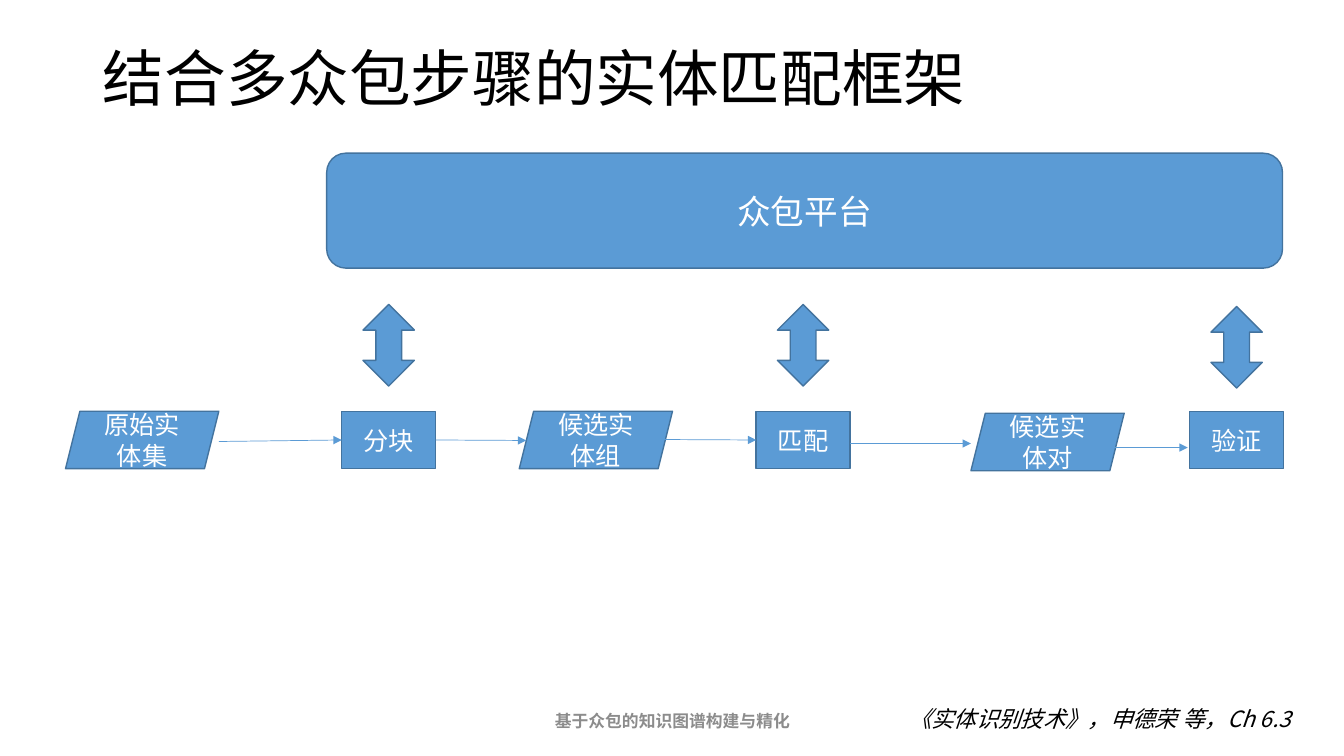
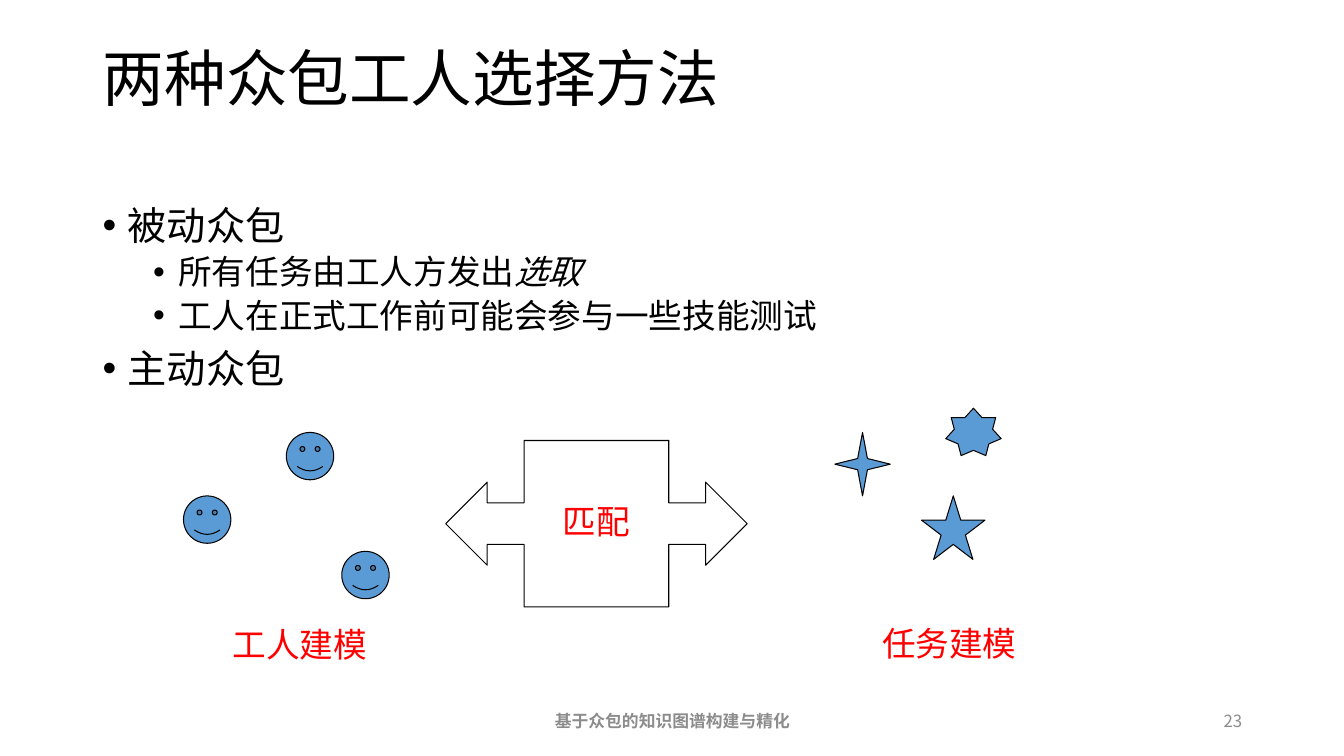
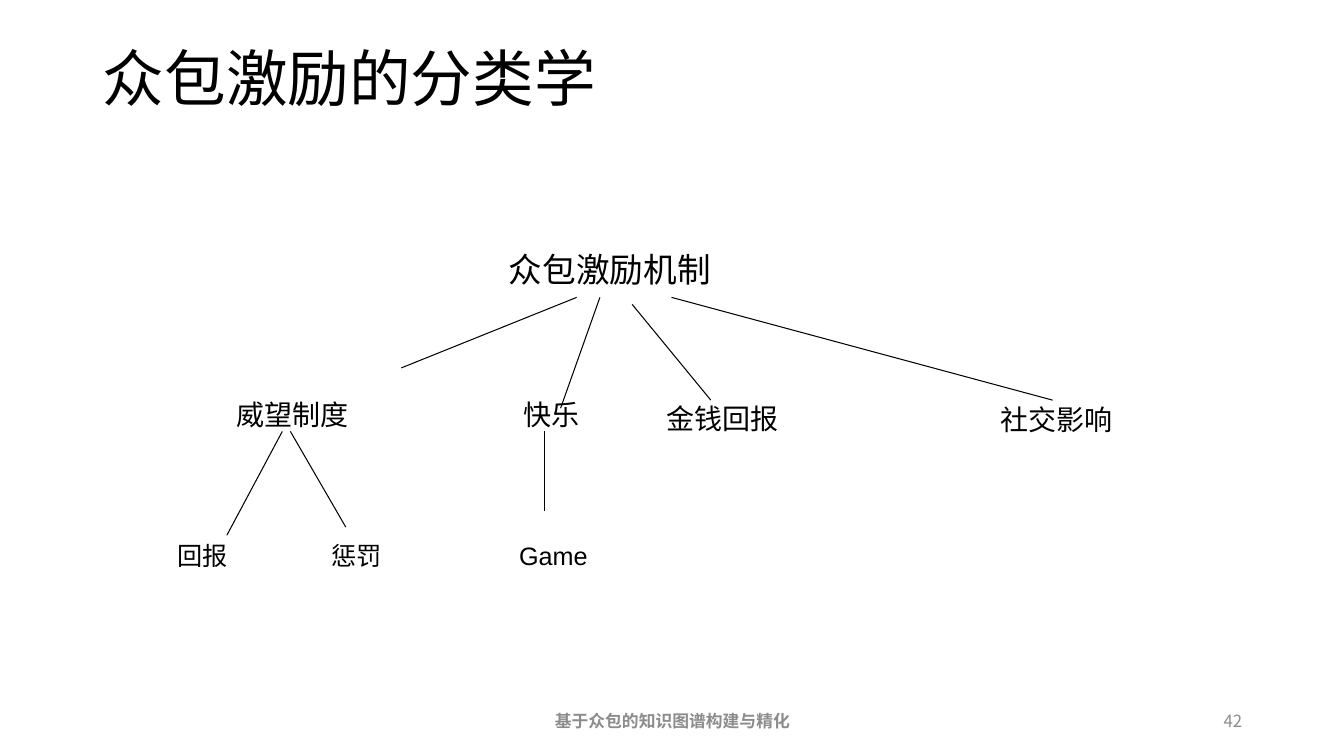
"""Build three slides on crowdsourced entity matching, worker selection and incentives."""
from dataclasses import dataclass
from typing import Any, Optional, Union

import lxml.etree
import pptx
import pptx.dml.color
import pptx.enum.shapes
import pptx.enum.text
import pptx.oxml.ns
import pptx.shapes.autoshape
import pptx.shapes.connector
import pptx.shapes.shapetree
import pptx.slide
import pptx.util

Inches = pptx.util.Inches
Pt = pptx.util.Pt
SHAPE = pptx.enum.shapes.MSO_SHAPE
ALIGN = pptx.enum.text.PP_ALIGN
ANCHOR = pptx.enum.text.MSO_ANCHOR
Shapes = Union[pptx.shapes.shapetree.SlideShapes, pptx.shapes.shapetree.GroupShapes]

COLORS = {
    "text": "000000",
    "muted": "8C8C8C",
    "accent": "5B9BD5",
    "outline": "43739E",
    "inverse": "FFFFFF",
    "key": "FF0000",
}
CJK_FONT = "Noto Sans CJK SC"
LABEL_FONT = "Arial"
FOOTER = "基于众包的知识图谱构建与精化"
TITLE_BOX = {"left": Inches(0.92), "top": Inches(0.42), "width": Inches(11.5), "height": Inches(0.78)}
TITLE_FRAME = {
    "vertical_anchor": ANCHOR.MIDDLE,
    "word_wrap": True,
    "auto_size": pptx.enum.text.MSO_AUTO_SIZE.NONE,
}
TITLE_PARAGRAPH = {"alignment": ALIGN.LEFT, "line_spacing": 0.9}


@dataclass(frozen=True)
class TextStyle:
    size: float
    color: str = "text"
    font: str = CJK_FONT
    bold: bool = False
    italic: bool = False


@dataclass(frozen=True)
class Box:
    left: float
    top: float
    width: float
    height: float


@dataclass(frozen=True)
class Label:
    text: str
    box: Box
    style: TextStyle
    align: Any = ALIGN.LEFT
    anchor: Any = ANCHOR.TOP
    wrap: bool = True


@dataclass(frozen=True)
class Figure:
    kind: Any
    box: Box
    fill: Optional[str] = "accent"
    line: str = "outline"
    weight: float = 1
    text: str = ""
    size: float = 18
    rotation: float = 0


@dataclass(frozen=True)
class Edge:
    x1: float
    y1: float
    x2: float
    y2: float
    source: Optional[str] = None
    target: Optional[str] = None


@dataclass(frozen=True)
class Bullet:
    text: str
    level: int = 0
    emphasis: str = ""


def assign(target: Any, values: dict[str, Any]) -> None:
    """Set every named attribute on the target."""
    for name, value in values.items():
        setattr(target, name, value)


def rgb(key: str) -> pptx.dml.color.RGBColor:
    """Look up a palette colour."""
    return pptx.dml.color.RGBColor.from_string(COLORS[key])


def place(box: Box) -> tuple[int, int, int, int]:
    """Convert a box to lengths."""
    return Inches(box.left), Inches(box.top), Inches(box.width), Inches(box.height)


def add_run(paragraph: Any, text: str, style: TextStyle) -> None:
    """Add one styled run with Latin and East Asian fonts."""
    run = paragraph.add_run()
    run.text = text
    assign(run.font, {"name": style.font, "size": Pt(style.size), "bold": style.bold, "italic": style.italic})
    run.font.color.rgb = rgb(style.color)
    lxml.etree.SubElement(run.font._element, pptx.oxml.ns.qn("a:ea"), typeface=CJK_FONT)


def add_label(shapes: Shapes, label: Label) -> None:
    """Add a text box with one line of text."""
    frame = shapes.add_textbox(*place(label.box)).text_frame
    assign(frame, {"word_wrap": label.wrap, "vertical_anchor": label.anchor})
    frame.paragraphs[0].alignment = label.align
    add_run(frame.paragraphs[0], label.text, label.style)


def add_figure(shapes: Shapes, figure: Figure) -> pptx.shapes.autoshape.Shape:
    """Add a preset shape with optional centred text."""
    shape = shapes.add_shape(figure.kind, *place(figure.box))
    shape.shadow.inherit = False
    shape.rotation = figure.rotation
    if figure.fill:
        shape.fill.solid()
        shape.fill.fore_color.rgb = rgb(figure.fill)
    else:
        shape.fill.background()
    shape.line.color.rgb = rgb(figure.line)
    shape.line.width = Pt(figure.weight)
    if figure.text:
        assign(shape.text_frame, {"word_wrap": True, "vertical_anchor": ANCHOR.MIDDLE})
        paragraph = shape.text_frame.paragraphs[0]
        paragraph.alignment = ALIGN.CENTER
        add_run(paragraph, figure.text, TextStyle(figure.size, "inverse"))
    return shape


def add_edge(
    shapes: Shapes, edge: Edge, color: str, weight: float, arrow: bool = False
) -> pptx.shapes.connector.Connector:
    """Add a straight line, with an arrowhead if asked."""
    connector = shapes.add_connector(
        pptx.enum.shapes.MSO_CONNECTOR.STRAIGHT,
        Inches(edge.x1), Inches(edge.y1), Inches(edge.x2), Inches(edge.y2),
    )
    connector.line.color.rgb = rgb(color)
    connector.line.width = Pt(weight)
    qn = pptx.oxml.ns.qn
    properties = connector.element.spPr
    if arrow:
        lxml.etree.SubElement(properties.find(qn("a:ln")), qn("a:tailEnd"), type="triangle")
    lxml.etree.SubElement(properties, qn("a:effectLst"))
    return connector


def add_bullets(shapes: Shapes, box: Box, bullets: list[Bullet]) -> None:
    """Add a two-level bullet list with optional italic endings."""
    frame = shapes.add_textbox(*place(box)).text_frame
    frame.word_wrap = True
    qn = pptx.oxml.ns.qn
    for index, bullet in enumerate(bullets):
        paragraph = frame.paragraphs[0] if index == 0 else frame.add_paragraph()
        space = 0 if index == 0 else 5 if bullet.level else 10
        assign(paragraph, {"level": bullet.level, "line_spacing": 0.9, "space_before": Pt(space)})
        properties = paragraph._p.get_or_add_pPr()
        properties.set("marL", str(Inches(0.25 + 0.5 * bullet.level)))
        properties.set("indent", str(Inches(-0.25)))
        lxml.etree.SubElement(properties, qn("a:buFont"), typeface=LABEL_FONT)
        lxml.etree.SubElement(properties, qn("a:buChar"), char="•")
        size = 28 - 4 * bullet.level
        add_run(paragraph, bullet.text, TextStyle(size))
        if bullet.emphasis:
            add_run(paragraph, bullet.emphasis, TextStyle(size, italic=True))


def new_slide(deck: Any, title: str, number: str = "") -> pptx.slide.Slide:
    """Add a slide with the shared title, footer and page number."""
    slide = deck.slides.add_slide(deck.slide_layouts[5])
    heading = slide.shapes.title
    assign(heading, TITLE_BOX)
    assign(heading.text_frame, TITLE_FRAME)
    assign(heading.text_frame.paragraphs[0], TITLE_PARAGRAPH)
    add_run(heading.text_frame.paragraphs[0], title, TextStyle(44))
    add_label(slide.shapes, Label(
        FOOTER, Box(4.42, 6.95, 4.5, 0.4), TextStyle(12, "muted", bold=True), ALIGN.CENTER, ANCHOR.MIDDLE))
    if number:
        add_label(slide.shapes, Label(
            number, Box(9.42, 6.95, 3, 0.4), TextStyle(12, "muted"), ALIGN.RIGHT, ANCHOR.MIDDLE))
    return slide


def build_framework(deck: Any) -> None:
    """Draw the matching pipeline under the crowdsourcing platform."""
    shapes = new_slide(deck, "结合多众包步骤的实体匹配框架").shapes
    add_figure(shapes, Figure(SHAPE.ROUNDED_RECTANGLE, Box(3.24, 1.52, 9.48, 1.14), text="众包平台", size=24))
    for text, left, top in [("原始实体集", 0.65, 4.08), ("候选实体组", 5.15, 4.08), ("候选实体对", 9.63, 4.1)]:
        add_figure(shapes, Figure(SHAPE.PARALLELOGRAM, Box(left, top, 1.52, 0.57), text=text))
    steps = {}
    for text, left, arrow_top in [("分块", 3.39, 3.17), ("匹配", 7.5, 3.17), ("验证", 11.8, 3.19)]:
        steps[text] = add_figure(shapes, Figure(SHAPE.RECTANGLE, Box(left, 4.08, 0.93, 0.57), text=text))
        add_figure(shapes, Figure(
            SHAPE.LEFT_RIGHT_ARROW, Box(left + 0.06, arrow_top, 0.81, 0.51), rotation=90))
    flows = [
        Edge(2.17, 4.38, 3.39, 4.37, target="分块"),
        Edge(4.32, 4.36, 5.22, 4.37, source="分块"),
        Edge(6.48, 4.36, 7.5, 4.37, target="匹配"),
        Edge(8.43, 4.4, 9.63, 4.4),
        Edge(10.86, 4.44, 11.78, 4.44),
    ]
    for flow in flows:
        connector = add_edge(shapes, flow, "accent", 0.5, arrow=True)
        if flow.source:
            connector.begin_connect(steps[flow.source], 3)
        if flow.target:
            connector.end_connect(steps[flow.target], 1)
    add_label(shapes, Label(
        "《实体识别技术》，申德荣 等，Ch 6.3", Box(8.92, 6.95, 4.4, 0.37), TextStyle(16, italic=True)))


def build_selection(deck: Any) -> None:
    """Draw the two worker selection methods."""
    shapes = new_slide(deck, "两种众包工人选择方法", "23").shapes
    add_bullets(shapes, Box(0.92, 2, 11.5, 2.08), [
        Bullet("被动众包"),
        Bullet("所有任务由工人方发出", 1, "选取"),
        Bullet("工人在正式工作前可能会参与一些技能测试", 1),
        Bullet("主动众包"),
    ])
    key_style = TextStyle(24, "key", LABEL_FONT)

    workers = shapes.add_group_shape().shapes
    for left, top in [(1.82, 4.92), (2.84, 4.29), (3.39, 5.47)]:
        add_figure(workers, Figure(SHAPE.SMILEY_FACE, Box(left, top, 0.47, 0.47), line="text", weight=0.75))
    add_label(workers, Label("工人建模", Box(2.21, 6.14, 2.99, 0.51), key_style))

    matching = shapes.add_group_shape().shapes
    callout = add_figure(matching, Figure(
        SHAPE.LEFT_RIGHT_ARROW_CALLOUT, Box(4.42, 4.37, 2.99, 1.65), None, "text", 0.75))
    for index, value in enumerate((0.25, 0.25, 0.25, 0.48)):
        callout.adjustments[index] = value
    add_label(matching, Label("匹配", Box(5.48, 4.92, 0.88, 0.5), key_style, wrap=False))

    tasks = shapes.add_group_shape().shapes
    for kind, box in [
        (SHAPE.STAR_4_POINT, Box(8.28, 4.29, 0.55, 0.63)),
        (SHAPE.STAR_7_POINT, Box(9.38, 4.05, 0.55, 0.47)),
        (SHAPE.STAR_5_POINT, Box(9.14, 4.92, 0.63, 0.63)),
    ]:
        add_figure(tasks, Figure(kind, box, line="text", weight=0.75))
    add_label(tasks, Label("任务建模", Box(8.65, 6.13, 2.56, 0.51), key_style))


def build_incentives(deck: Any) -> None:
    """Draw the tree of crowdsourcing incentives."""
    shapes = new_slide(deck, "众包激励的分类学", "42").shapes
    branches = [
        Edge(3.98, 3.65, 5.72, 2.95),
        Edge(5.95, 2.95, 5.56, 4.05),
        Edge(6.27, 3.02, 7.05, 3.97),
        Edge(6.66, 2.95, 10.44, 3.97),
        Edge(2.25, 5.31, 2.8, 4.28),
        Edge(3.43, 5.23, 2.88, 4.28),
        Edge(5.4, 4.28, 5.4, 5.07),
    ]
    for branch in branches:
        add_edge(shapes, branch, "text", 0.75)
    for text, size, box in [
        ("众包激励机制", 24, Box(4.95, 2.42, 2.8, 0.5)),
        ("威望制度", 20, Box(2.25, 3.89, 2.2, 0.44)),
        ("快乐", 20, Box(5.09, 3.89, 1.26, 0.44)),
        ("金钱回报", 20, Box(6.51, 3.93, 2.6, 0.44)),
        ("社交影响", 20, Box(9.82, 3.94, 2.6, 0.44)),
        ("回报", 18, Box(1.66, 5.31, 0.72, 0.4)),
        ("惩罚", 18, Box(3.19, 5.31, 0.79, 0.4)),
        ("Game", 18, Box(5.05, 5.31, 1.14, 0.4)),
    ]:
        add_label(shapes, Label(text, box, TextStyle(size, font=LABEL_FONT)))


def main() -> None:
    """Build and save the deck."""
    deck = pptx.Presentation()
    assign(deck, {"slide_width": Inches(13.33), "slide_height": Inches(7.5)})
    for build in (build_framework, build_selection, build_incentives):
        build(deck)
    deck.save("out.pptx")


if __name__ == "__main__":
    main()
